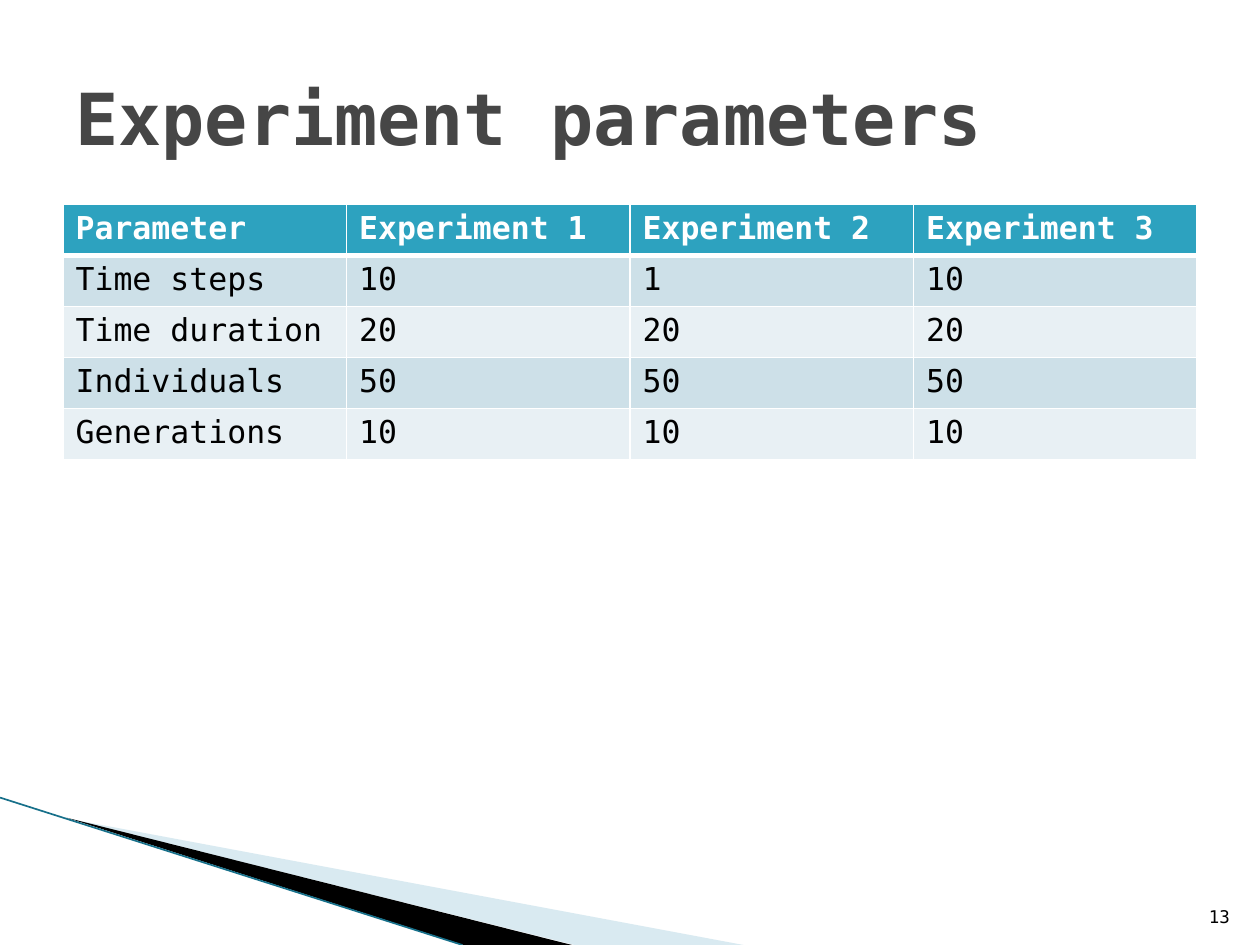
import pptx
import pptx.util
import pptx.dml.color
import pptx.enum.text
import pptx.oxml
import pptx.oxml.ns
import lxml.etree

Inches, Pt = pptx.util.Inches, pptx.util.Pt
FONT = "DejaVu Sans Mono"
COLOURS = {
    "title": "464646", "text": "000000", "white": "FFFFFF", "header": "2DA2BF",
    "odd": "CDE0E8", "even": "E8F0F4", "wedge": "A0CBDC", "edge": "17708A",
}


def style(para, size, colour, bold=False):
    """Set the font of a whole paragraph."""
    para.font.name, para.font.size, para.font.bold = FONT, Pt(size), bold
    para.font.color.rgb = pptx.dml.color.RGBColor.from_string(COLOURS[colour])


def add_element(parent, tag, **attributes):
    """Append a DrawingML element and return it."""
    return lxml.etree.SubElement(parent, pptx.oxml.ns.qn(tag), attributes)


deck = pptx.Presentation()
deck.slide_width, deck.slide_height = Inches(10), Inches(7.5)
page = deck.slides.add_slide(deck.slide_layouts[6])

# Corner decoration
wedges = [
    ("wedge", 40, [(0.55, 6.5), (5.9, 7.5), (4.56, 7.5)]),
    ("text", 100, [(0.53, 6.49), (4.54, 7.5), (3.68, 7.5)]),
]
for colour, opacity, points in wedges:
    corners = [(Inches(x), Inches(y)) for x, y in points]
    builder = page.shapes.build_freeform(*corners[0])
    builder.add_line_segments(corners[1:], close=True)
    wedge = builder.convert_to_shape()
    wedge.shadow.inherit = False
    wedge.line.fill.background()
    wedge.fill.solid()
    wedge.fill.fore_color.rgb = pptx.dml.color.RGBColor.from_string(COLOURS[colour])
    if opacity < 100:
        tint = wedge._element.spPr.find(".//" + pptx.oxml.ns.qn("a:srgbClr"))
        add_element(tint, "a:alpha", val=str(opacity * 1000))

edge = page.shapes.add_connector(1, 0, Inches(6.33), Inches(3.67), Inches(7.5))
edge.line.width = Pt(0.95)
edge.line.color.rgb = pptx.dml.color.RGBColor.from_string(COLOURS["edge"])
add_element(edge._element.spPr, "a:effectLst")

# Parameter table
rows = [
    ["Parameter", "Experiment 1", "Experiment 2", "Experiment 3"],
    ["Time steps", "10", "1", "10"],
    ["Time duration", "20", "20", "20"],
    ["Individuals", "50", "50", "50"],
    ["Generations", "10", "10", "10"],
]
row_height = Pt(29.2)
table = page.shapes.add_table(
    len(rows), len(rows[0]), Inches(0.5), Inches(1.62), Inches(9), row_height * len(rows)
).table
for row_index, values in enumerate(rows):
    table.rows[row_index].height = row_height
    header = row_index == 0
    fill = "header" if header else "odd" if row_index % 2 else "even"
    for column_index, value in enumerate(values):
        cell = table.cell(row_index, column_index)
        cell.text = value
        style(cell.text_frame.paragraphs[0], 18, "white" if header else "text", header)
        properties = cell._tc.get_or_add_tcPr()
        for side in "LRTB":
            heavy = (side == "B" and header) or (side == "T" and row_index == 1)
            border = add_element(properties, f"a:ln{side}", w=str(Pt(3 if heavy else 1)))
            paint = add_element(border, "a:solidFill")
            add_element(paint, "a:srgbClr", val=COLOURS["white"])
        cell.fill.solid()
        cell.fill.fore_color.rgb = pptx.dml.color.RGBColor.from_string(COLOURS[fill])

# Title and page number
anchors, aligns = pptx.enum.text.MSO_ANCHOR, pptx.enum.text.PP_ALIGN
labels = [
    ("13", (9.46, 7.01, 0.4, 0.4), 10, "text", False, anchors.BOTTOM, aligns.RIGHT),
    ("Experiment parameters", (0.5, 0.3, 9, 1.25), 41, "title", True,
     anchors.MIDDLE, aligns.LEFT),
]
for text, place, size, colour, bold, anchor, align in labels:
    box = page.shapes.add_textbox(*map(Inches, place))
    box.text_frame.word_wrap = True
    box.text_frame.vertical_anchor = anchor
    para = box.text_frame.paragraphs[0]
    para.text, para.alignment = text, align
    style(para, size, colour, bold)

deck.save("out.pptx")
